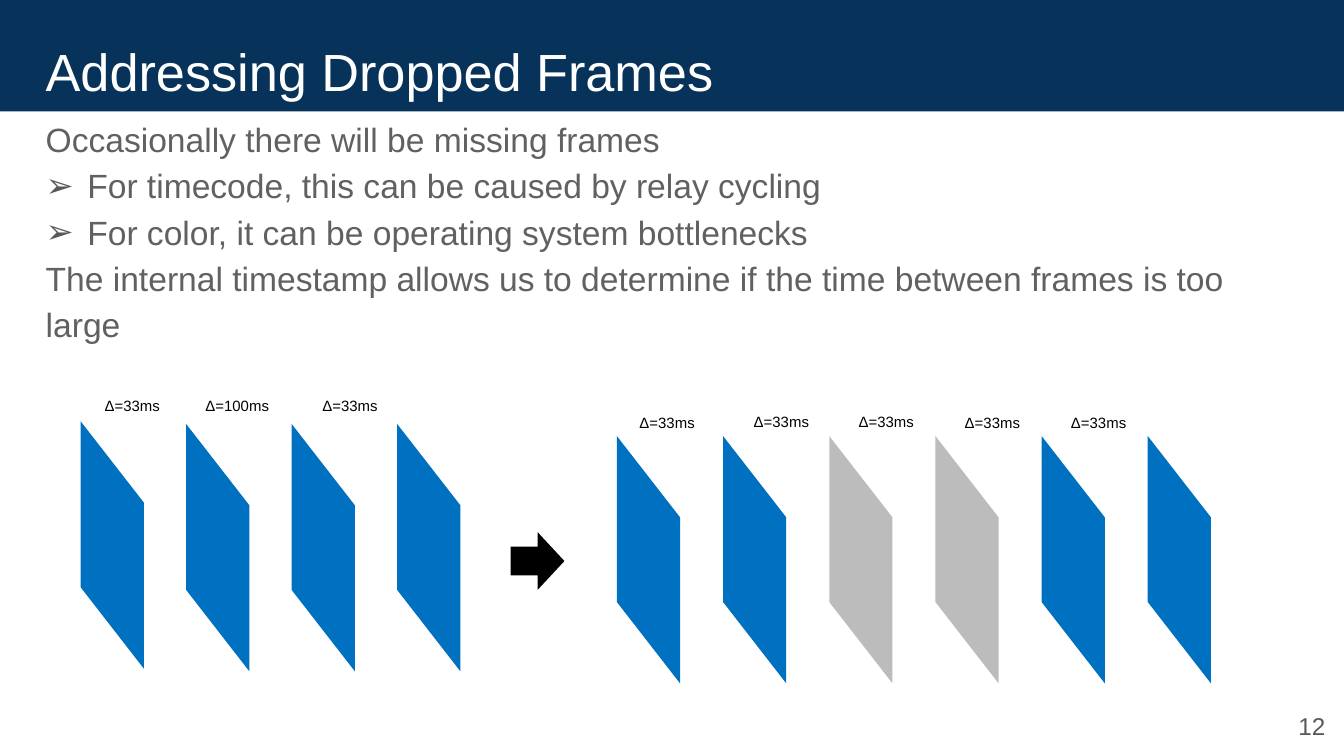
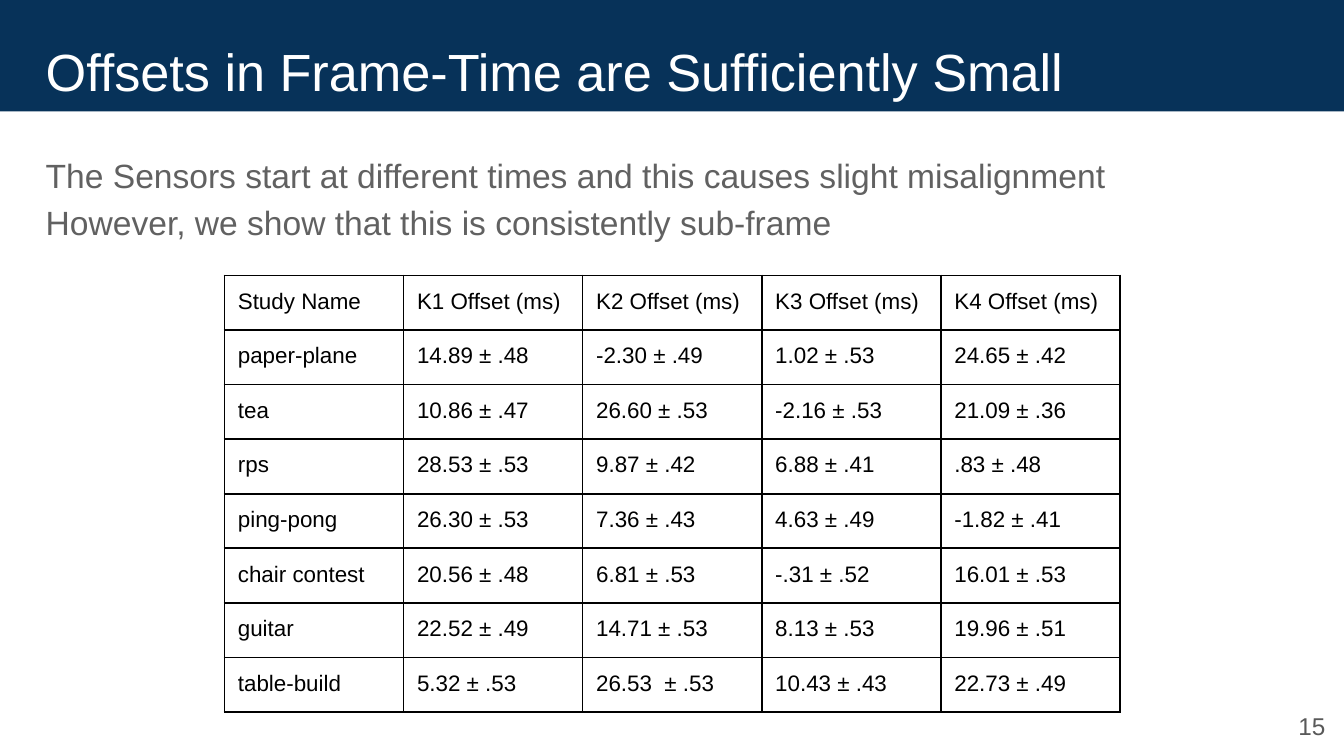
import pptx
import pptx.util
import pptx.dml.color
import pptx.enum.shapes
import pptx.enum.text
import pptx.oxml.ns
from lxml import etree

Inches, Pt = pptx.util.Inches, pptx.util.Pt
SHAPE = pptx.enum.shapes.MSO_SHAPE
ALIGN = pptx.enum.text.PP_ALIGN
ANCHOR = pptx.enum.text.MSO_ANCHOR
qn = pptx.oxml.ns.qn

# Shared style
FONT = "Arial"
NAVY, WHITE, BLACK = "073259", "FFFFFF", "000000"
BODY_GRAY, NOTE_GRAY = "616161", "595959"
BLUE, LIGHT_GRAY = "0070C0", "BCBCBC"
MARGIN = 0.34

# Dropped frames content: (text, is bullet)
DROPPED_TEXT = [
    ("Occasionally there will be missing frames", False),
    ("For timecode, this can be caused by relay cycling", True),
    ("For color, it can be operating system bottlenecks", True),
    ("The internal timestamp allows us to determine if the time between "
     "frames is too large", False),
]
FRAME_LENGTH, FRAME_WIDTH, FRAME_SLANT = 1.84, 0.47, 1.287
# Each sequence: left edge, gap between frames, frame tops and colours
FRAME_SEQUENCES = [
    (0.6, 0.785, [(3.82, BLUE), (3.84, BLUE), (3.84, BLUE), (3.84, BLUE)]),
    (4.59, 0.79, [(3.93, c) for c in
                  (BLUE, BLUE, LIGHT_GRAY, LIGHT_GRAY, BLUE, BLUE)]),
]
# Time between frames: left, top, milliseconds
DELTAS = [
    (0.68, 2.9, 33), (1.43, 2.9, 100), (2.3, 2.9, 33),
    (4.66, 3.03, 33), (5.51, 3.02, 33), (6.29, 3.02, 33),
    (7.08, 3.03, 33), (7.87, 3.03, 33),
]

# Offsets content
OFFSET_TEXT = [
    ("The Sensors start at different times and this causes slight "
     "misalignment", False),
    ("However, we show that this is consistently sub-frame", False),
]
OFFSETS = [
    ("Study Name", "K1 Offset (ms)", "K2 Offset (ms)", "K3 Offset (ms)",
     "K4 Offset (ms)"),
    ("paper-plane", "14.89 ± .48", "-2.30 ± .49", "1.02 ± .53", "24.65 ± .42"),
    ("tea", "10.86 ± .47", "26.60 ± .53", "-2.16 ± .53", "21.09 ± .36"),
    ("rps", "28.53 ± .53", "9.87 ± .42", "6.88 ± .41", ".83 ± .48"),
    ("ping-pong", "26.30 ± .53", "7.36 ± .43", "4.63 ± .49", "-1.82 ± .41"),
    ("chair contest", "20.56 ± .48", "6.81 ± .53", "-.31 ± .52", "16.01 ± .53"),
    ("guitar", "22.52 ± .49", "14.71 ± .53", "8.13 ± .53", "19.96 ± .51"),
    ("table-build", "5.32 ± .53", "26.53  ± .53", "10.43 ± .43", "22.73 ± .49"),
]
COL_WIDTH, ROW_HEIGHT = 1.333, 0.406


def rgb(hex_color):
    return pptx.dml.color.RGBColor.from_string(hex_color)


def style(p, size, color):
    for r in p.runs:
        r.font.size = Pt(size)
        r.font.name = FONT
        r.font.color.rgb = rgb(color)


def set_insets(target, x, y):
    target.margin_left = target.margin_right = Inches(x)
    target.margin_top = target.margin_bottom = Inches(y)


def add_text(s, box, lines, size, color, insets=(0, 0)):
    tf = s.shapes.add_textbox(*map(Inches, box)).text_frame
    tf.word_wrap = True
    set_insets(tf, *insets)
    tf.text = "\n".join(lines)
    for p in tf.paragraphs:
        style(p, size, color)
    return tf


def add_shape(s, kind, box, color):
    sp = s.shapes.add_shape(kind, *map(Inches, box))
    sp.shadow.inherit = False
    sp.fill.solid()
    sp.fill.fore_color.rgb = rgb(color)
    sp.line.fill.background()
    return sp


def add_bullet(p):
    pPr = p._p.get_or_add_pPr()
    pPr.set("marL", str(Inches(0.31)))
    pPr.set("indent", str(-Inches(0.31)))
    bullet_color = etree.SubElement(pPr, qn("a:buClr"))
    etree.SubElement(bullet_color, qn("a:srgbClr"), val=NOTE_GRAY)
    etree.SubElement(pPr, qn("a:buFont"), typeface=FONT)
    etree.SubElement(pPr, qn("a:buChar"), char="➢")


def add_slide(prs, title, number):
    s = prs.slides.add_slide(prs.slide_layouts[6])
    add_shape(s, SHAPE.RECTANGLE, (0, 0, 10, 0.83), NAVY)
    tf = add_text(s, (MARGIN, 0.21, 9.32, 0.63), [title], 28, WHITE)
    tf.vertical_anchor = ANCHOR.MIDDLE
    tf = add_text(s, (9.36, 5.19, 0.6, 0.43), [str(number)], 13, NOTE_GRAY,
                  (0.1, 0.1))
    tf.paragraphs[0].alignment = ALIGN.RIGHT
    return s


def add_body(s, top, width, height, content):
    tf = add_text(s, (MARGIN, top, width, height),
                  [text for text, _ in content], 18, BODY_GRAY)
    for p, (_, is_bullet) in zip(tf.paragraphs, content):
        if is_bullet:
            add_bullet(p)
        p.line_spacing = 1.15


def add_borders(cell):
    tcPr = cell._tc.get_or_add_tcPr()
    for side in ("lnL", "lnR", "lnT", "lnB"):
        ln = etree.SubElement(tcPr, qn("a:" + side), w=str(Pt(1)))
        fill = etree.SubElement(ln, qn("a:solidFill"))
        etree.SubElement(fill, qn("a:srgbClr"), val=BLACK)


def add_offset_table(s, left, top):
    rows, cols = len(OFFSETS), len(OFFSETS[0])
    table = s.shapes.add_table(
        rows, cols, Inches(left), Inches(top),
        Inches(cols * COL_WIDTH), Inches(rows * ROW_HEIGHT)).table
    table.first_row = table.horz_banding = False
    for column in table.columns:
        column.width = Inches(COL_WIDTH)
    for row, values in zip(table.rows, OFFSETS):
        row.height = Inches(ROW_HEIGHT)
        for cell, value in zip(row.cells, values):
            cell.text = value
            style(cell.text_frame.paragraphs[0], 12, BLACK)
            set_insets(cell, 0.1, 0.1)
            add_borders(cell)
            cell.fill.background()


def build_dropped_frames(prs):
    s = add_slide(prs, "Addressing Dropped Frames", 12)
    add_body(s, 0.84, 9.32, 1.4, DROPPED_TEXT)
    # Frames stand upright after a quarter turn about their centres
    shift = (FRAME_LENGTH - FRAME_WIDTH) / 2
    for left, step, frames in FRAME_SEQUENCES:
        for i, (top, color) in enumerate(frames):
            box = (left + i * step - shift, top, FRAME_LENGTH, FRAME_WIDTH)
            frame = add_shape(s, SHAPE.PARALLELOGRAM, box, color)
            frame.adjustments[0] = FRAME_SLANT
            frame.rotation = 90
    for left, top, ms in DELTAS:
        width = 0.73 if ms >= 100 else 0.67
        add_text(s, (left, top, width, 0.24), [f"Δ={ms}ms"], 8, BLACK,
                 (0.1, 0.05))
    add_shape(s, SHAPE.RIGHT_ARROW, (3.8, 3.96, 0.4, 0.43), BLACK)


def build_offsets(prs):
    s = add_slide(prs, "Offsets in Frame-Time are Sufficiently Small", 15)
    add_body(s, 1.11, 9.02, 0.94, OFFSET_TEXT)
    add_offset_table(s, 1.67, 2.05)


def main():
    prs = pptx.Presentation()
    prs.slide_width, prs.slide_height = Inches(10), Inches(5.625)
    build_dropped_frames(prs)
    build_offsets(prs)
    prs.save("out.pptx")


if __name__ == "__main__":
    main()
